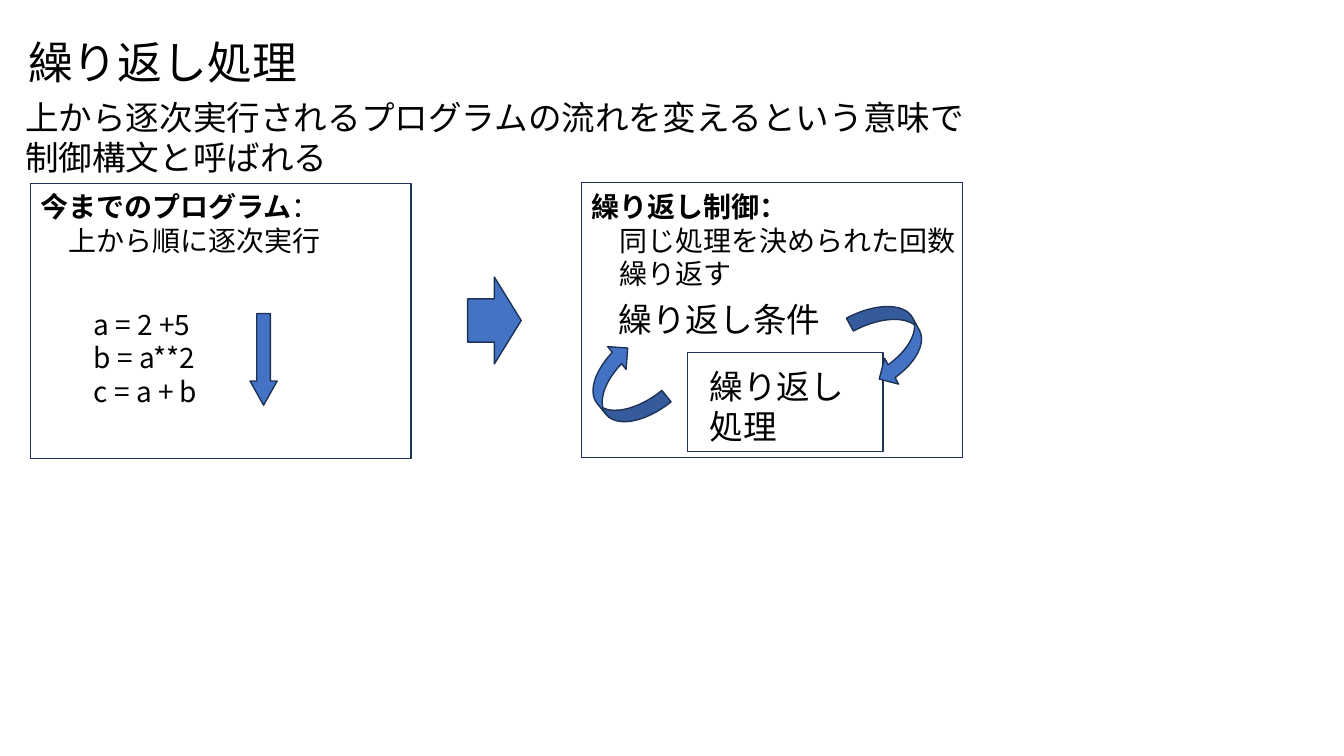
import pptx
import pptx.util
import pptx.dml.color
import pptx.enum.shapes
import pptx.enum.text
import pptx.oxml.ns
import lxml.etree

Pt = pptx.util.Pt
Shape = pptx.enum.shapes.MSO_SHAPE
BLACK = pptx.dml.color.RGBColor(0x00, 0x00, 0x00)
BLUE = pptx.dml.color.RGBColor(0x44, 0x72, 0xC4)
NAVY = pptx.dml.color.RGBColor(0x1E, 0x32, 0x56)
FONT = "Noto Sans CJK JP"
INDENT = 20

deck = pptx.Presentation()
deck.slide_width, deck.slide_height = Pt(960), Pt(540)
slide = deck.slides.add_slide(deck.slide_layouts[6])


def add_text(box, size, lines, wrap=True):
    """Each line is (indent in points, [(words, bold), ...])."""
    label = slide.shapes.add_textbox(*map(Pt, box))
    frame = label.text_frame
    frame.word_wrap = wrap
    frame.auto_size = pptx.enum.text.MSO_AUTO_SIZE.SHAPE_TO_FIT_TEXT
    for number, (indent, parts) in enumerate(lines):
        line = frame.paragraphs[0] if number == 0 else frame.add_paragraph()
        if indent:
            line._p.get_or_add_pPr().set("marL", str(Pt(indent)))
        for words, bold in parts:
            run = line.add_run()
            run.text = words
            look = {"name": FONT, "size": Pt(size), "bold": bold}
            for key, value in look.items():
                setattr(run.font, key, value)
            run.font.color.rgb = BLACK
            east_asian = lxml.etree.SubElement(run._r.get_or_add_rPr(), pptx.oxml.ns.qn("a:ea"))
            east_asian.set("typeface", FONT)


def add_outlined(kind, box, fill=None):
    figure = slide.shapes.add_shape(kind, *map(Pt, box))
    figure.shadow.inherit = False
    if fill is None:
        figure.fill.background()
    else:
        figure.fill.solid()
        figure.fill.fore_color.rgb = fill
    figure.line.color.rgb = NAVY
    figure.line.width = Pt(1)
    return figure


# Title and introduction
add_text((13, 20.9, 208, 46), 32, [(0, [("繰り返し処理", False)])], wrap=False)
add_text((10.8, 65.5, 705, 65.5), 24,
         [(0, [("上から逐次実行されるプログラムの流れを変えるという意味で制御構文と呼ばれる", False)])])

# Frames of the two programs
for frame_box in [(21.6, 131, 272, 196.6), (415.4, 130.3, 272, 196.6)]:
    add_outlined(Shape.RECTANGLE, frame_box)

# Sequential program
add_text((21.6, 131.8, 224, 55.4), 20, [
    (0, [("今までのプログラム", True), ("：", False)]),
    (INDENT, [("上から順に逐次実行", False)]),
])
add_text((59.8, 216, 108.7, 80), 20,
         [(0, [(code, False)]) for code in ("a = 2 +5", "b = a**2", "c = a + b")], wrap=False)
downward_flow = add_outlined(Shape.DOWN_ARROW, (178.6, 223.9, 19.4, 65.5), BLUE)
downward_flow.adjustments[1] = 0.89

# Step from one program to the other
add_outlined(Shape.RIGHT_ARROW, (334.1, 198, 38.2, 61.9), BLUE)

# Loop program
add_text((415.4, 131.8, 291, 80), 20, [
    (0, [("繰り返し制御：", True)]),
    (INDENT, [("同じ処理を決められた回数", False)]),
    (INDENT, [("繰り返す", False)]),
])
add_text((434.9, 210.2, 160, 36), 24, [(0, [("繰り返し条件", False)])], wrap=False)
add_outlined(Shape.FLOWCHART_PROCESS, (491, 252, 139.7, 70.6))
add_text((499.7, 257.8, 123, 65.5), 24, [(0, [("繰り返し処理", False)])])

# Arrows circling between condition and body
for left, top, turn in [(423.4, 247, 321.1), (616.3, 213.8, 151.7)]:
    loop_arrow = add_outlined(Shape.CURVED_RIGHT_ARROW, (left, top, 41.8, 59.8), BLUE)
    loop_arrow.rotation = turn
    loop_arrow._element.spPr.xfrm.set("flipV", "1")

deck.save("out.pptx")
